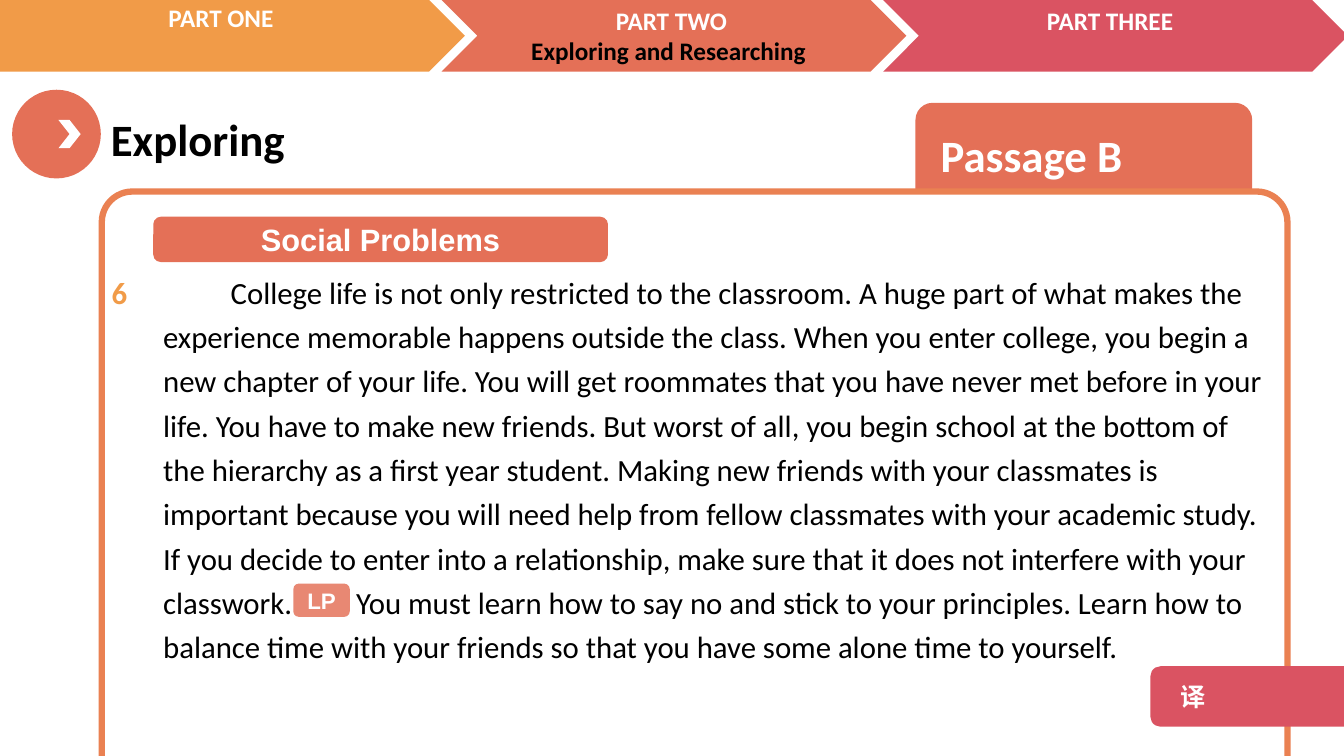
from copy import deepcopy

from lxml import etree
from pptx import Presentation
from pptx.dml.color import RGBColor
from pptx.enum.shapes import MSO_SHAPE as Shape
from pptx.enum.text import MSO_ANCHOR as Anchor, PP_ALIGN as Align
from pptx.oxml.ns import qn
from pptx.util import Inches, Pt

CORAL = RGBColor(0xE4, 0x70, 0x57)
ORANGE = RGBColor(0xF1, 0x9B, 0x48)
ROSE = RGBColor(0xDA, 0x53, 0x62)
FRAME_ORANGE = RGBColor(0xEA, 0x81, 0x52)
WHITE = RGBColor(0xFF, 0xFF, 0xFF)
BLACK = RGBColor(0, 0, 0)

PASSAGE_START = (
    "College life is not only restricted to the classroom. A huge part of what makes the "
    "experience memorable happens outside the class. When you enter college, you begin a new "
    "chapter of your life. You will get roommates that you have never met before in your life. "
    "You have to make new friends. But worst of all, you begin school at the bottom of the "
    "hierarchy as a first year student. Making new friends with your classmates is important "
    "because you will need help from fellow classmates with your academic study. If you decide "
    "to enter into a relationship, make sure that it does not interfere with your classwork."
)
PASSAGE_END = (
    "You must learn how to say no and stick to your principles. Learn how to balance time with "
    "your friends so that you have some alone time to yourself."
)

presentation = Presentation()
presentation.slide_width = Inches(13.33)
presentation.slide_height = Inches(7.5)
slide = presentation.slides.add_slide(presentation.slide_layouts[5])


def add_shape(kind, left, top, width, height, color):
    shape = slide.shapes.add_shape(
        kind, Inches(left), Inches(top), Inches(width), Inches(height))
    shape.shadow.inherit = False
    shape.fill.solid()
    shape.fill.fore_color.rgb = color
    shape.line.fill.background()
    return shape


def write(shape, text, size, color, font="Calibri", bold=True, align=Align.LEFT,
          anchor=Anchor.TOP):
    """Fill the shape with text, one paragraph per line, and format every run."""
    frame = shape.text_frame
    frame.word_wrap = True
    frame.vertical_anchor = anchor
    frame.text = text
    for paragraph in frame.paragraphs:
        paragraph.alignment = align
        for run in paragraph.runs:
            run.font.size = Pt(size)
            run.font.name = font
            run.font.bold = bold
            run.font.color.rgb = color
            east_asian = etree.SubElement(run.font._element, qn("a:ea"))
            east_asian.set("typeface", font)


# Heading
add_shape(Shape.OVAL, 0.12, 0.89, 0.88, 0.88, CORAL)
add_shape(Shape.CHEVRON, 0.58, 1.19, 0.22, 0.28, WHITE)
title = slide.shapes.title
title.left, title.top, title.width, title.height = (
    Inches(1.0), Inches(1.06), Inches(4.85), Inches(0.64))
write(title, "Exploring", 32, BLACK)

passage_tab = add_shape(Shape.ROUNDED_RECTANGLE, 9.08, 1.02, 3.34, 1.02, CORAL)
write(passage_tab, "Passage B", 32, WHITE, anchor=Anchor.MIDDLE)
passage_tab.text_frame.margin_left = Inches(0.2)

# Navigation banner
for left, width, color in ((4.38, 4.61, CORAL), (8.76, 4.61, ROSE), (-0.61, 5.22, ORANGE)):
    add_shape(Shape.CHEVRON, left, 0, width, 0.71, color)
for left, top, height, label in (
    (-0.06, -0.03, 0.4, "PART ONE "),
    (4.38, 0, 0.71, "PART TWO\nExploring and Researching "),
    (8.73, 0, 0.4, "PART THREE"),
):
    part = slide.shapes.add_textbox(Inches(left), Inches(top), Inches(4.56), Inches(height))
    write(part, label, 18, WHITE, align=Align.CENTER)
    for subtitle in part.text_frame.paragraphs[1:]:
        subtitle.runs[0].font.color.rgb = BLACK

# Passage
frame_box = add_shape(Shape.ROUNDED_RECTANGLE, 1.01, 1.9, 11.76, 6.45, WHITE)
frame_box.adjustments[0] = 0.047
frame_box.line.color.rgb = FRAME_ORANGE
frame_box.line.width = Pt(4.5)

for left, width, text, color, bold in (
    (1.01, 0.51, "6", ORANGE, True),
    (1.52, 11.16, PASSAGE_START, BLACK, False),
):
    column = slide.shapes.add_textbox(Inches(left), Inches(2.59), Inches(width), Inches(4.51))
    write(column, text, 22, color, bold=bold)
    paragraph = column.text_frame.paragraphs[0]
    paragraph.line_spacing = 1.2

# The passage is the last column: indent it and widen one space to hold the LP label
properties = paragraph._p.get_or_add_pPr()
properties.set("marL", "0")
properties.set("indent", str(Inches(0.67)))
for text in (" ", PASSAGE_END):
    paragraph._p.append(deepcopy(paragraph.runs[0]._r))
    paragraph.runs[-1].text = text
paragraph.runs[1].font._element.set("spc", "4070")

# Labels
translation = add_shape(Shape.ROUNDED_RECTANGLE, 11.41, 6.61, 2.13, 0.6, ROSE)
write(translation, "译", 18, WHITE, font="Noto Sans CJK SC", anchor=Anchor.MIDDLE)
translation.text_frame.margin_left = Inches(0.27)

topic = add_shape(Shape.ROUNDED_RECTANGLE, 1.52, 2.15, 4.51, 0.45, CORAL)
write(topic, "Social Problems", 22, WHITE, font="Arial", align=Align.CENTER,
      anchor=Anchor.MIDDLE)

language_point = add_shape(Shape.ROUNDED_RECTANGLE, 2.91, 5.79, 0.56, 0.33, CORAL)
write(language_point, "LP", 16, WHITE, font="Arial", align=Align.CENTER, anchor=Anchor.MIDDLE)
language_point.text_frame.margin_left = language_point.text_frame.margin_right = 0
fill_color = language_point._element.spPr.find(qn("a:solidFill"))[0]
etree.SubElement(fill_color, qn("a:alpha"), val="83000")

presentation.save("out.pptx")
